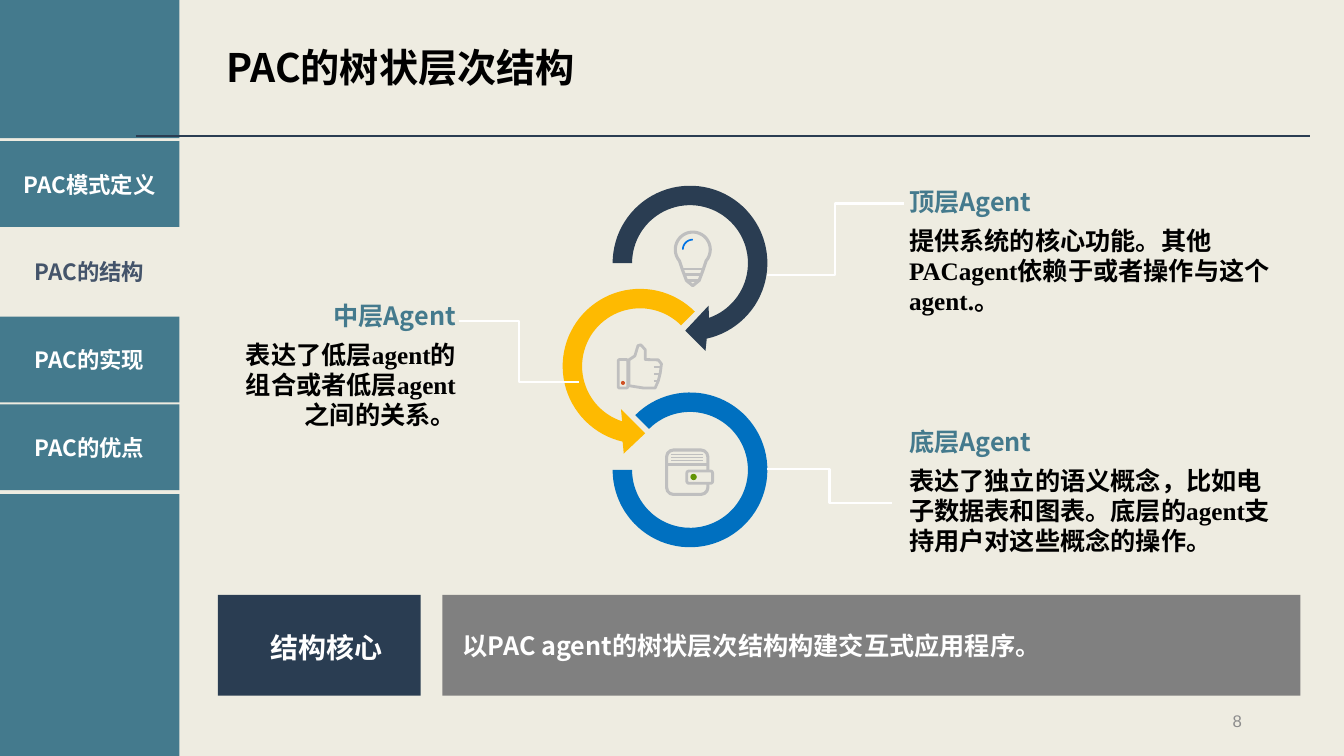
"""Build the slide on the tree-shaped PAC agent hierarchy."""
import math

import lxml.etree
import pptx
import pptx.dml.color
import pptx.enum.shapes
import pptx.enum.text
import pptx.oxml.ns
import pptx.util

Cm = pptx.util.Cm
Pt = pptx.util.Pt
RGBColor = pptx.dml.color.RGBColor
Align = pptx.enum.text.PP_ALIGN
Anchor = pptx.enum.text.MSO_ANCHOR
Preset = pptx.enum.shapes.MSO_SHAPE

CREAM = RGBColor(0xEE, 0xEC, 0xE1)
TEAL = RGBColor(0x44, 0x7A, 0x8D)
SLATE = RGBColor(0x44, 0x54, 0x6A)
NAVY = RGBColor(0x2A, 0x3D, 0x52)
AMBER = RGBColor(0xFE, 0xBA, 0x01)
BLUE = RGBColor(0x00, 0x70, 0xC0)
SKY = RGBColor(0x00, 0x73, 0xE4)
ORANGE = RGBColor(0xD0, 0x51, 0x26)
GREEN = RGBColor(0x61, 0x94, 0x05)
SILVER = RGBColor(0xBF, 0xBF, 0xBF)
GRAY = RGBColor(0x80, 0x80, 0x80)
NUMBER_GRAY = RGBColor(0x8C, 0x8C, 0x8C)
WHITE = RGBColor(0xFF, 0xFF, 0xFF)
BLACK = RGBColor(0x00, 0x00, 0x00)

SANS = "Noto Sans CJK SC"
SERIF = "Times New Roman"
OUTER_RADIUS, INNER_RADIUS = 1.95, 1.46
SIDEBAR_WIDTH = 4.52


def write(shape, text, size, color, font=SANS, align=Align.LEFT,
          anchor=Anchor.TOP, bold=True, inset=0.13, wrap=True):
    """Put one formatted paragraph into a shape."""
    frame = shape.text_frame
    frame.text = text
    frame.word_wrap = wrap
    frame.auto_size = pptx.enum.text.MSO_AUTO_SIZE.NONE
    frame.vertical_anchor = anchor
    frame.margin_left = frame.margin_right = Cm(inset)
    frame.margin_top = frame.margin_bottom = Cm(0.13)
    para = frame.paragraphs[0]
    para.alignment = align
    para.line_spacing = Pt(size * 1.2)
    span = para.runs[0]
    span.font.size = Pt(size)
    span.font.bold = bold
    span.font.name = font
    span.font.color.rgb = color
    east_asian = lxml.etree.SubElement(span.font._element, pptx.oxml.ns.qn("a:ea"))
    east_asian.set("typeface", SANS)


def add_text(slide, left, top, width, height, text, size, color, **style):
    """Add a text box."""
    box = slide.shapes.add_textbox(Cm(left), Cm(top), Cm(width), Cm(height))
    write(box, text, size, color, **style)


def paint(shape, fill=None, line=None, weight=1):
    """Set fill and outline, leaving out whichever is not given."""
    shape.shadow.inherit = False
    if fill is None:
        shape.fill.background()
    else:
        shape.fill.solid()
        shape.fill.fore_color.rgb = fill
    if line is None:
        shape.line.fill.background()
    else:
        shape.line.color.rgb = line
        shape.line.width = Pt(weight)


def add_block(slide, left, top, width, height, fill=None, line=None,
              weight=1, preset=Preset.RECTANGLE):
    """Add a preset shape."""
    shape = slide.shapes.add_shape(preset, Cm(left), Cm(top), Cm(width), Cm(height))
    paint(shape, fill, line, weight)
    return shape


def add_outline(slide, points, closed=True, **look):
    """Add a freeform through points in centimetres."""
    corners = [(Cm(x), Cm(y)) for x, y in points]
    builder = slide.shapes.build_freeform(*corners[0])
    builder.add_line_segments(corners[1:], close=closed)
    paint(builder.convert_to_shape(), **look)


def add_line(slide, left, top, right, color, weight):
    """Add a horizontal line."""
    line = slide.shapes.add_connector(pptx.enum.shapes.MSO_CONNECTOR.STRAIGHT,
                                      Cm(left), Cm(top), Cm(right), Cm(top))
    line.line.color.rgb = color
    line.line.width = Pt(weight)
    lxml.etree.SubElement(line._element.spPr, pptx.oxml.ns.qn("a:effectLst"))


def arc(center, radius, start, end):
    """Return points on an arc; angles run clockwise from the right."""
    steps = max(2, round(abs(end - start) / 4))
    angles = [math.radians(start + (end - start) * i / steps) for i in range(steps + 1)]
    return [(center[0] + radius * math.cos(a), center[1] + radius * math.sin(a))
            for a in angles]


def add_ring(slide, center, start, outer_end, inner_end, head, color):
    """Add an open ring that may end in an arrowhead."""
    points = arc(center, OUTER_RADIUS, start, outer_end) + head
    points += arc(center, INNER_RADIUS, inner_end, start)
    add_outline(slide, points, fill=color)


def add_leader(slide, left, left_y, right, right_y):
    """Add a white line with two bends halfway."""
    middle = (left + right) / 2
    points = [(left, left_y), (middle, left_y), (middle, right_y), (right, right_y)]
    add_outline(slide, points, closed=False, line=WHITE, weight=1.5)


def add_bulb(slide):
    """Add the light bulb icon."""
    center = (17.46, 6.29)
    base = [(17.71, 6.83), (17.62, 7.07), (17.46, 7.2), (17.3, 7.07), (17.21, 6.83)]
    add_outline(slide, arc(center, 0.44, 140, 400) + base, line=SILVER, weight=2.2)
    for row, half in enumerate((0.25, 0.2, 0.16)):
        add_line(slide, 17.46 - half, 6.78 + 0.14 * row, 17.46 + half, SILVER, 2)
    add_outline(slide, arc(center, 0.25, 180, 270), closed=False, line=SKY, weight=1.2)


def add_thumb(slide):
    """Add the thumbs-up icon."""
    hand = [(15.85, 9.07), (16, 8.97), (16.08, 8.71), (16.15, 8.69), (16.26, 8.81),
            (16.26, 9.06), (16.59, 9.07), (16.67, 9.17), (16.64, 9.4), (16.59, 9.6),
            (16.51, 9.78), (16.23, 9.78), (15.85, 9.72)]
    add_outline(slide, hand, line=SILVER, weight=2)
    add_block(slide, 15.58, 9.06, 0.24, 0.72, line=SILVER, weight=2,
              preset=Preset.ROUNDED_RECTANGLE)
    for row in range(3):
        add_line(slide, 16.48, 9.25 + 0.18 * row, 16.64 - 0.04 * row, SILVER, 1.5)
    add_block(slide, 15.65, 9.6, 0.1, 0.1, fill=ORANGE, preset=Preset.OVAL)


def add_wallet(slide):
    """Add the wallet icon."""
    add_block(slide, 16.8, 11.34, 1.04, 1.12, line=SILVER, weight=2.2,
              preset=Preset.ROUNDED_RECTANGLE)
    add_line(slide, 16.8, 11.7, 17.84, SILVER, 2)
    for row in range(3):
        add_line(slide, 16.92, 11.45 + 0.08 * row, 17.72, SILVER, 1)
    add_block(slide, 17.31, 11.87, 0.65, 0.31, fill=CREAM, line=SILVER, weight=2,
              preset=Preset.ROUNDED_RECTANGLE)
    add_block(slide, 17.4, 11.94, 0.16, 0.16, fill=GREEN, preset=Preset.OVAL)


def add_sidebar(slide):
    """Add the navigation column with the current chapter highlighted."""
    add_block(slide, 0, 0, SIDEBAR_WIDTH, 3.48, fill=TEAL)
    add_block(slide, 0, 12.45, SIDEBAR_WIDTH, 6.6, fill=TEAL)
    chapters = ("PAC模式定义", "PAC的结构", "PAC的实现", "PAC的优点")
    for row, chapter in enumerate(chapters):
        current = chapter == "PAC的结构"
        item = add_block(slide, 0, 3.56 + 2.21 * row, SIDEBAR_WIDTH, 2.16,
                         fill=CREAM if current else TEAL)
        write(item, chapter, 16, SLATE if current else WHITE,
              align=Align.CENTER, anchor=Anchor.MIDDLE)


def add_agent(slide, left, top, width, name, role, align=Align.LEFT):
    """Add an agent heading with its description below."""
    add_text(slide, left, top, width, 1.02, name, 18, TEAL, align=align)
    add_text(slide, left, top + 0.97, width, 2.57, role, 18, BLACK,
             font=SERIF, align=align)


def main():
    """Build and save the deck."""
    deck = pptx.Presentation()
    deck.slide_width, deck.slide_height = Cm(33.87), Cm(19.05)
    slide = deck.slides.add_slide(deck.slide_layouts[5])
    slide.background.fill.solid()
    slide.background.fill.fore_color.rgb = CREAM

    title = slide.shapes.title
    title.left, title.top, title.width, title.height = Cm(5.46), Cm(0.97), Cm(15.21), Cm(1.45)
    write(title, "PAC的树状层次结构", 28, BLACK, anchor=Anchor.MIDDLE, inset=0.25)
    add_sidebar(slide)
    add_line(slide, 3.43, 3.43, 33.02, NAVY, 1)

    add_ring(slide, (17.39, 11.84), -135, 180, 180, [], BLUE)
    add_ring(slide, (16.13, 9.23), -45, -257, -252,
             [(15.72, 11.43), (16.26, 10.92), (15.65, 10.31)], AMBER)
    add_ring(slide, (17.39, 6.63), 180, 437.5, 431,
             [(17.78, 8.84), (17.27, 8.33), (17.86, 7.7)], NAVY)
    add_wallet(slide)
    add_thumb(slide)
    add_bulb(slide)

    add_leader(slide, 19.33, 6.93, 22.78, 5.13)
    add_leader(slide, 19.33, 11.81, 22.48, 12.67)
    add_leader(slide, 11.56, 8.08, 14.58, 9.63)
    add_agent(slide, 22.78, 4.57, 9.37, "顶层Agent",
              "提供系统的核心功能。其他PACagent依赖于或者操作与这个agent.。")
    add_agent(slide, 22.78, 10.62, 9.37, "底层Agent",
              "表达了独立的语义概念，比如电子数据表和图表。底层的agent支持用户对这些概念的操作。")
    add_agent(slide, 5.87, 7.44, 5.75, "中层Agent",
              "表达了低层agent的组合或者低层agent之间的关系。", Align.RIGHT)

    add_block(slide, 5.49, 14.99, 5.11, 2.54, fill=NAVY)
    add_block(slide, 11.15, 14.99, 21.62, 2.54, fill=GRAY)
    add_text(slide, 11.53, 15.75, 21.24, 1.02,
             "以PAC agent的树状层次结构构建交互式应用程序。", 18, WHITE)
    add_text(slide, 6.68, 15.75, 3.1, 1.12, "结构核心", 20, WHITE,
             align=Align.RIGHT, wrap=False)
    add_text(slide, 23.93, 17.65, 7.62, 1.02, "8", 12, NUMBER_GRAY, font="Arial",
             align=Align.RIGHT, anchor=Anchor.MIDDLE, bold=False, inset=0.25)
    deck.save("out.pptx")


if __name__ == "__main__":
    main()
